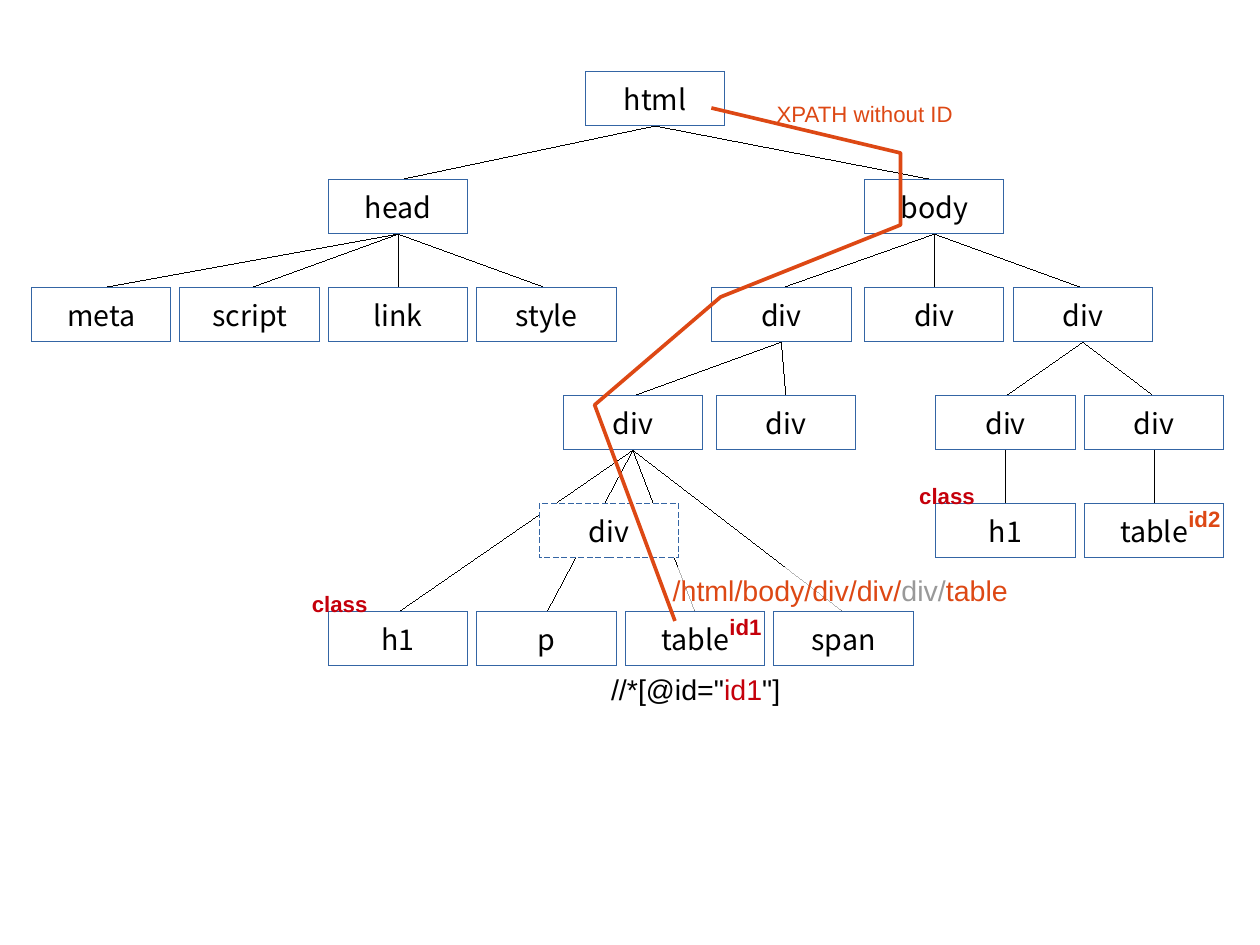
from lxml.etree import SubElement
from pptx import Presentation
from pptx.dml.color import RGBColor
from pptx.enum.dml import MSO_LINE
from pptx.enum.shapes import MSO_CONNECTOR, MSO_SHAPE
from pptx.enum.text import MSO_ANCHOR, MSO_AUTO_SIZE, PP_ALIGN
from pptx.oxml.ns import qn
from pptx.util import Cm, Pt

# Lengths are centimetres
SLIDE_WIDTH, SLIDE_HEIGHT = 28, 21
GRID_LEFT, GRID_TOP = 0.7, 1.6
COLUMN_STEP, ROW_STEP = 3.3, 2.4
BOX_WIDTH, BOX_HEIGHT = 3.1, 1.2
HAIRLINE, ROUTE_WIDTH = 0.01, 2.3
BLACK, WHITE, BLUE = "000000", "FFFFFF", "3465A4"
ORANGE, RED, GRAY = "DD4814", "C5000B", "999999"
NODE_FONT, LABEL_FONT = "Noto Sans CJK JP", "Arial"

# name: (label, column, row, parent)
NODES = {
    "html": ("html", 3.73, 0, None),
    "head": ("head", 2, 1, "html"),
    "body": ("body", 5.61, 1, "html"),
    "meta": ("meta", 0, 2, "head"),
    "script": ("script", 1, 2, "head"),
    "link": ("link", 2, 2, "head"),
    "style": ("style", 3, 2, "head"),
    "left div": ("div", 4.58, 2, "body"),
    "middle div": ("div", 5.61, 2, "body"),
    "right div": ("div", 6.61, 2, "body"),
    "content div": ("div", 3.58, 3, "left div"),
    "empty div": ("div", 4.61, 3, "left div"),
    "title div": ("div", 6.09, 3, "right div"),
    "data div": ("div", 7.09, 3, "right div"),
    "first h1": ("h1", 2, 5, "content div"),
    "p": ("p", 3, 5, "content div"),
    "first table": ("table", 4, 5, "content div"),
    "span": ("span", 5, 5, "content div"),
    "second h1": ("h1", 6.09, 4, "title div"),
    "second table": ("table", 7.09, 4, "data div"),
    "optional div": ("div", 3.42, 4, None),
}
DASHED = {"optional div"}

# node, offset from its corner, size, font size, bold, backing, runs
CLASS_OFFSET, CLASS_SIZE = (-0.62, -0.6), (1.75, 0.8)
ID_OFFSET, ID_SIZE = (2.06, -0.1), (1.22, 0.8)
LABELS = [
    ("html", (4, 0.5), (5.1, 0.8), 14, False, False, [("XPATH without ID", ORANGE)]),
    ("second h1", CLASS_OFFSET, CLASS_SIZE, 14, True, False, [("class", RED)]),
    ("first h1", CLASS_OFFSET, CLASS_SIZE, 14, True, False, [("class", RED)]),
    ("first table", ID_OFFSET, ID_SIZE, 14, True, False, [("id1", RED)]),
    ("second table", ID_OFFSET, ID_SIZE, 14, True, False, [("id2", ORANGE)]),
    ("first table", (-0.57, 1.2), (4.27, 0.97), 18, False, False,
     [('//*[@id="', BLACK), ("id1", RED), ('"]', BLACK)]),
    ("first table", (0.8, -1), (7.95, 0.97), 18, False, True,
     [("/html/body/div/div/", ORANGE), ("div/", GRAY), ("table", ORANGE)]),
]
# node, offset from its corner
ROUTE = [("html", (2.8, 0.8)), ("body", (0.8, -0.6)), ("body", (0.8, 1)),
         ("left div", (0.2, 0.2)), ("content div", (0.7, 0.2)),
         ("first table", (1.1, 0.2))]


def color(hex_text):
    return RGBColor.from_string(hex_text)


def offset_point(name, offset):
    """Slide point at an offset from the top left corner of a node's box."""
    _, column, row, _ = NODES[name]
    return (Cm(GRID_LEFT + column * COLUMN_STEP + offset[0]),
            Cm(GRID_TOP + row * ROW_STEP + offset[1]))


def style_line(shape, hex_text, width):
    shape.line.color.rgb = color(hex_text)
    shape.line.width = Pt(width)


def style_run(span, font, size, hex_text, bold=False):
    span.font.name = font
    span.font.size = Pt(size)
    span.font.bold = bold
    span.font.color.rgb = color(hex_text)


def add_white_box(shapes, position, size):
    box = shapes.add_shape(MSO_SHAPE.RECTANGLE, *position, *map(Cm, size))
    box.shadow.inherit = False
    box.fill.solid()
    box.fill.fore_color.rgb = color(WHITE)
    return box


def add_branch(shapes, parent, child):
    start = offset_point(parent, (BOX_WIDTH / 2, BOX_HEIGHT))
    end = offset_point(child, (BOX_WIDTH / 2, 0))
    branch = shapes.add_connector(MSO_CONNECTOR.STRAIGHT, *start, *end)
    style_line(branch, BLACK, HAIRLINE)
    SubElement(branch._element.spPr, qn("a:effectLst"))


def add_node(shapes, name):
    box = add_white_box(shapes, offset_point(name, (0, 0)), (BOX_WIDTH, BOX_HEIGHT))
    style_line(box, BLUE, HAIRLINE)
    if name in DASHED:
        box.line.dash_style = MSO_LINE.DASH
    frame = box.text_frame
    frame.word_wrap = False
    frame.vertical_anchor = MSO_ANCHOR.MIDDLE
    para = frame.paragraphs[0]
    para.text = NODES[name][0]
    para.alignment = PP_ALIGN.CENTER
    style_run(para.runs[0], NODE_FONT, 18, BLACK)


def add_label(shapes, name, offset, size, font_size, bold, backed, runs):
    position = offset_point(name, offset)
    if backed:
        box = add_white_box(shapes, position, size)
        box.line.fill.background()
        tint = box._element.spPr.find(".//" + qn("a:srgbClr"))
        SubElement(tint, qn("a:alpha"), val="70000")
    else:
        box = shapes.add_textbox(*position, *map(Cm, size))
    frame = box.text_frame
    frame.word_wrap = False
    frame.vertical_anchor = MSO_ANCHOR.TOP
    frame.auto_size = MSO_AUTO_SIZE.SHAPE_TO_FIT_TEXT
    para = frame.paragraphs[0]
    para.alignment = PP_ALIGN.LEFT
    for text, hex_text in runs:
        span = para.add_run()
        span.text = text
        style_run(span, LABEL_FONT, font_size, hex_text, bold)


def add_route(shapes):
    start, *stops = [offset_point(name, offset) for name, offset in ROUTE]
    builder = shapes.build_freeform(*start)
    builder.add_line_segments(stops, close=False)
    route = builder.convert_to_shape()
    route.shadow.inherit = False
    route.fill.background()
    style_line(route, ORANGE, ROUTE_WIDTH)


def main():
    deck = Presentation()
    deck.slide_width, deck.slide_height = Cm(SLIDE_WIDTH), Cm(SLIDE_HEIGHT)
    shapes = deck.slides.add_slide(deck.slide_layouts[6]).shapes
    for name, (_, _, _, parent) in NODES.items():
        if parent:
            add_branch(shapes, parent, name)
    for name in NODES:
        add_node(shapes, name)
    for label in LABELS:
        add_label(shapes, *label)
    add_route(shapes)
    deck.save("out.pptx")


if __name__ == "__main__":
    main()
